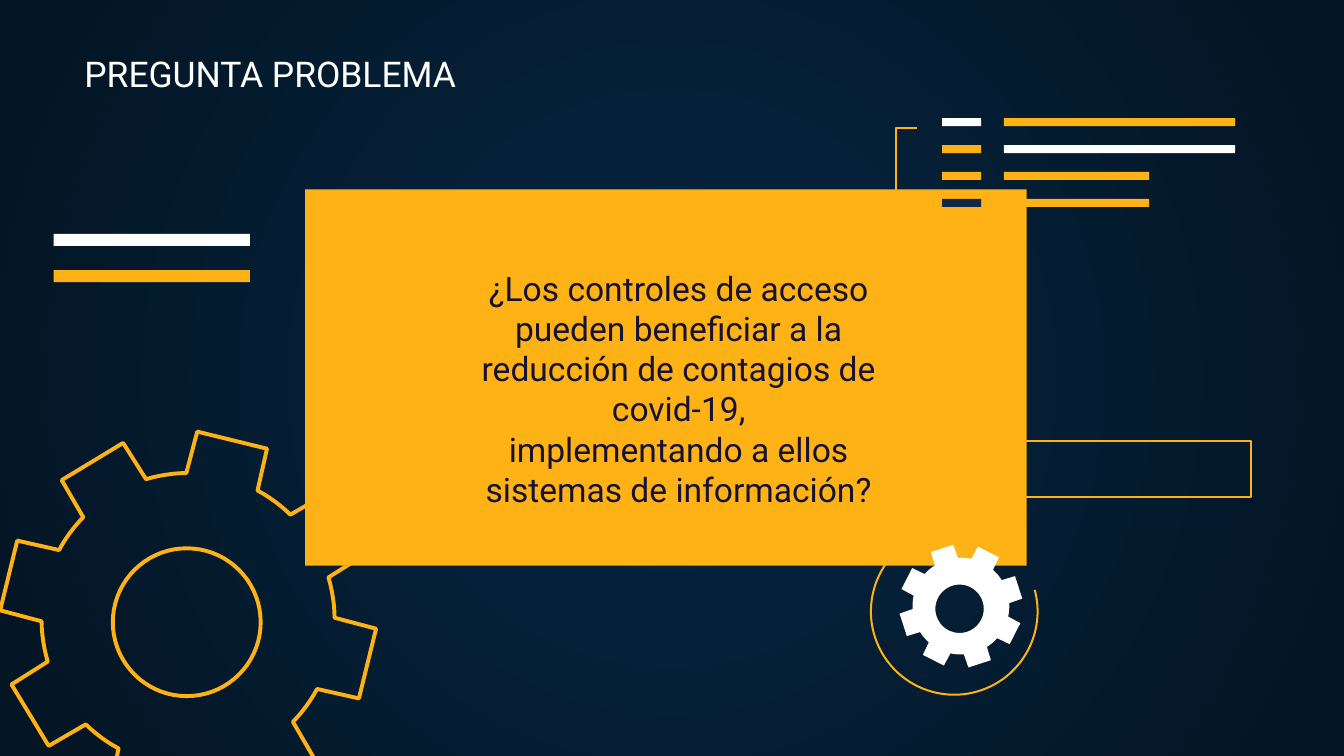
import math
import pptx
import pptx.dml.color
import pptx.enum.shapes
import pptx.enum.text
import pptx.oxml
import pptx.oxml.ns
import pptx.util
from pptx.util import Inches

GOLD = "FFB215"
WHITE = "FFFFFF"
NAVY = "0E2A47"
INK = "161234"


def color(code):
    return pptx.dml.color.RGBColor.from_string(code)


def paint(shape, fill=None, line=None, width=1.09):
    shape.shadow.inherit = False
    if fill:
        shape.fill.solid()
        shape.fill.fore_color.rgb = color(fill)
    else:
        shape.fill.background()
    if line:
        shape.line.color.rgb = color(line)
        shape.line.width = pptx.util.Pt(width)
    else:
        shape.line.fill.background()


def backdrop(slide, inner, outer):
    fill = slide.background.fill
    fill.gradient()
    for stop, code in zip(fill.gradient_stops, (inner, outer)):
        stop.color.rgb = color(code)
    grad = slide._element.find(".//" + pptx.oxml.ns.qn("a:gradFill"))
    grad.remove(grad.find(pptx.oxml.ns.qn("a:lin")))
    grad.append(pptx.oxml.parse_xml(
        f'<a:path {pptx.oxml.ns.nsdecls("a")} path="circle">'
        '<a:fillToRect l="50000" t="50000" r="50000" b="50000"/></a:path>'))


def box(slide, left, top, width, height, **style):
    kind = pptx.enum.shapes.MSO_SHAPE.RECTANGLE
    shape = slide.shapes.add_shape(
        kind, Inches(left), Inches(top), Inches(width), Inches(height))
    paint(shape, **style)


def outline(slide, loops, close=True, **style):
    loops = [[(Inches(x), Inches(y)) for x, y in loop] for loop in loops]
    build = slide.shapes.build_freeform(*loops[0][0])
    build.add_line_segments(loops[0][1:], close=close)
    for loop in loops[1:]:
        build.move_to(*loop[0])
        build.add_line_segments(loop[1:], close=close)
    paint(build.convert_to_shape(), **style)


def arc(x, y, radius, start, end, steps):
    turns = [math.radians(start + (end - start) * i / steps)
             for i in range(steps + 1)]
    return [(x + radius * math.cos(t), y + radius * math.sin(t)) for t in turns]


def gear(slide, x, y, tip, root, hole, tilt, **style):
    rim = []
    for i in range(8):
        mid = tilt + 45 * i
        rim += arc(x, y, tip, mid - 11, mid + 11, 1)
        rim += arc(x, y, root, mid + 14.5, mid + 30.5, 6)
    hub = arc(x - 0.01, y + 0.02, hole, 0, 360, 72)[:-1]
    outline(slide, [rim, hub], **style)


def text(slide, left, top, width, height, lines, size, code, align, fit):
    frame = slide.shapes.add_textbox(
        Inches(left), Inches(top), Inches(width), Inches(height)).text_frame
    frame.word_wrap = True
    frame.auto_size = fit
    frame.margin_left = frame.margin_right = Inches(0.1)
    frame.margin_top = frame.margin_bottom = Inches(0.1)
    for i, line in enumerate(lines):
        para = frame.add_paragraph() if i else frame.paragraphs[0]
        para.alignment = align
        run = para.add_run()
        run.text = line
        run.font.name = "Roboto"
        run.font.size = pptx.util.Pt(size)
        run.font.color.rgb = color(code)


def main():
    deck = pptx.Presentation()
    deck.slide_width = Inches(10)
    deck.slide_height = deck.slide_width * 9 // 16
    slide = deck.slides.add_slide(deck.slide_layouts[6])
    backdrop(slide, "052643", "041523")

    box(slide, 2.27, 1.41, 5.37, 2.8, fill=GOLD)
    gear(slide, 7.15, 4.51, 0.46, 0.36, 0.18, 27, fill=WHITE)
    outline(slide, [arc(7.1, 4.55, 0.62, -15, 233, 72)], close=False, line=GOLD)
    gear(slide, 1.4, 4.61, 1.4, 1.09, 0.55, 13.8, line=GOLD, width=2.1)

    rows = [(WHITE, GOLD, 1.72), (GOLD, WHITE, 1.72),
            (GOLD, GOLD, 1.08), (NAVY, GOLD, 1.08)]
    for i, (mark, bar, width) in enumerate(rows):
        top = 0.88 + 0.2 * i
        box(slide, 7.01, top, 0.29, 0.06, fill=mark)
        box(slide, 7.47, top, width, 0.06, fill=bar)

    hook = [(6.83, 1.56), (6.67, 1.56), (6.67, 0.95), (6.82, 0.95)]
    outline(slide, [hook], close=False, line=GOLD)
    for top, code in ((1.74, WHITE), (2.01, GOLD)):
        box(slide, 0.4, top, 1.46, 0.09, fill=code)
    box(slide, 7.2, 3.28, 2.11, 0.42, line=GOLD)

    align = pptx.enum.text.PP_ALIGN
    fit = pptx.enum.text.MSO_AUTO_SIZE
    text(slide, 3.16, 1.89, 3.78, 1.86,
         ["¿Los controles de acceso pueden beneficiar a la reducción de "
          "contagios de covid-19,",
          "implementando a ellos sistemas de información?"],
         18, INK, align.CENTER, fit.NONE)
    text(slide, 0.53, 0.29, 5.51, 0.52, ["PREGUNTA PROBLEMA"],
         19, WHITE, align.LEFT, fit.SHAPE_TO_FIT_TEXT)
    deck.save("out.pptx")


if __name__ == "__main__":
    main()
